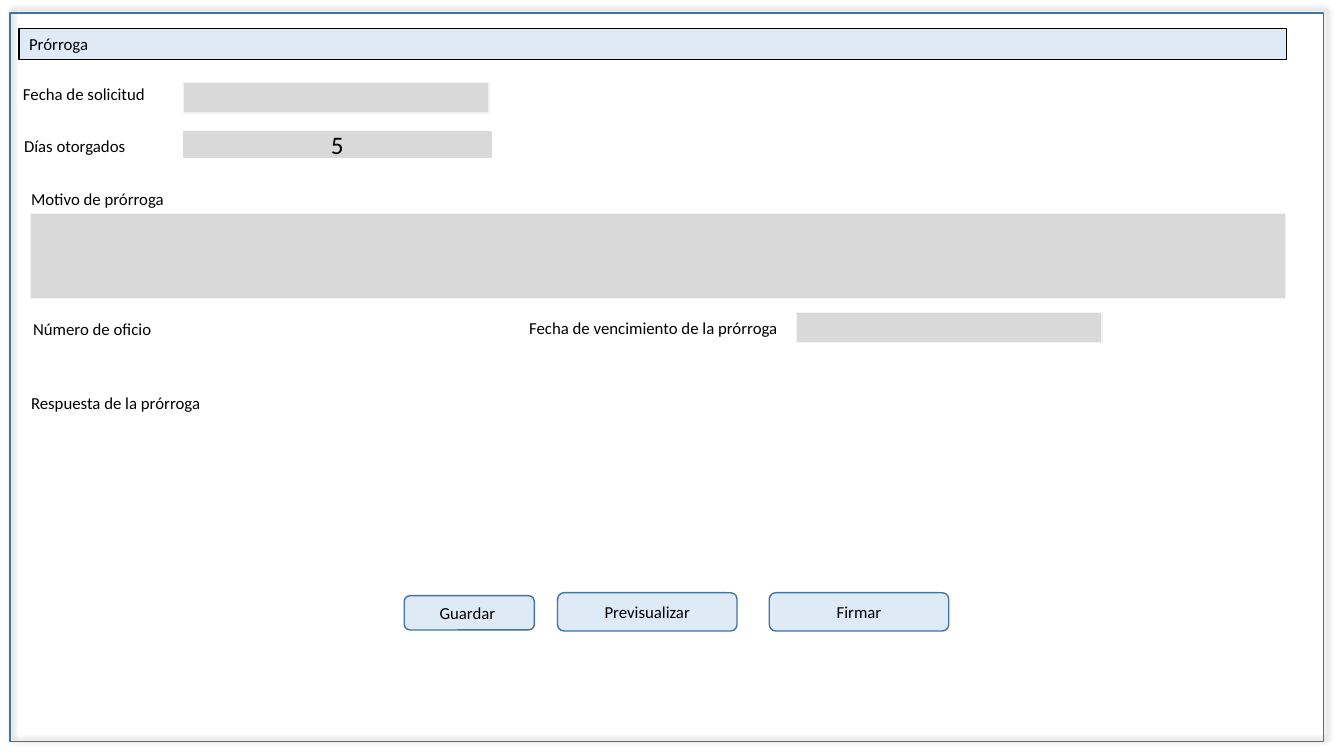
import pptx
import pptx.util
import pptx.dml.color
import pptx.enum.shapes
import pptx.enum.text
import pptx.oxml
import pptx.oxml.ns

Inches = pptx.util.Inches
SHAPES = pptx.enum.shapes.MSO_SHAPE
ALIGN = pptx.enum.text.PP_ALIGN
ANCHOR = pptx.enum.text.MSO_ANCHOR

COLORS = {
    "text": "000000",
    "border": "43739E",
    "accent": "DEEBF7",
    "field": "D9D9D9",
    "field_edge": "F2F2F2",
}


def color(name):
    """Return the palette colour with this name."""
    return pptx.dml.color.RGBColor.from_string(COLORS[name])


def write_text(holder, text, size=12, align=ALIGN.LEFT, anchor=ANCHOR.MIDDLE):
    """Write one formatted line of text into a shape or text box."""
    frame = holder.text_frame
    frame.word_wrap = True
    frame.vertical_anchor = anchor
    para = frame.paragraphs[0]
    para.alignment = align
    span = para.add_run()
    span.text = text
    span.font.size = pptx.util.Pt(size)
    span.font.name = "Calibri"
    span.font.color.rgb = color("text")


def add_block(page, box, fill=None, line="border", kind=SHAPES.RECTANGLE):
    """Add a flat outlined shape in the given box."""
    block = page.shapes.add_shape(kind, *map(Inches, box))
    block.shadow.inherit = False
    if fill:
        block.fill.solid()
        block.fill.fore_color.rgb = color(fill)
    else:
        block.fill.background()
    block.line.color.rgb = color(line)
    block.line.width = pptx.util.Pt(1)
    return block


def add_label(page, text, left, top, width=3.37):
    """Add a field caption."""
    label = page.shapes.add_textbox(*map(Inches, (left, top, width, 0.3)))
    write_text(label, text, anchor=ANCHOR.TOP)
    label.text_frame.auto_size = pptx.enum.text.MSO_AUTO_SIZE.SHAPE_TO_FIT_TEXT


def add_window(page, left, top, width, height):
    """Draw the window frame with its shadow and the heading bar."""
    frame = add_block(page, (left, top, width, height))
    effects = frame._element.spPr.find(pptx.oxml.ns.qn("a:effectLst"))
    effects.append(pptx.oxml.parse_xml(
        f'<a:outerShdw {pptx.oxml.ns.nsdecls("a")} blurRad="50800" dist="38100" '
        'dir="18900000" algn="bl" rotWithShape="0"><a:srgbClr val="000000">'
        '<a:alpha val="40000"/></a:srgbClr></a:outerShdw>'))
    heading = add_block(page, (left + 0.09, top + 0.15, width - 0.46, 0.31),
                        "accent", "text")
    write_text(heading, "Prórroga")


def add_form(page, left, top):
    """Place the captions and entry fields of the extension request."""
    add_label(page, "Fecha de solicitud", left, top)
    add_label(page, "Días otorgados", left + 0.01, top + 0.52)
    add_label(page, "Motivo de prórroga", left + 0.08, top + 1.04, 4)
    add_label(page, "Número de oficio", left + 0.1, top + 2.33)
    add_label(page, "Fecha de vencimiento de la prórroga", left + 5.02, top + 2.32)
    add_label(page, "Respuesta de la prórroga", left + 0.08, top + 3.07, 4)
    for across, down, width, height in (
            (1.69, 0.04, 3.03, 0.3),
            (0.17, 1.34, 12.45, 0.84),
            (7.77, 2.32, 3.03, 0.3)):
        add_block(page, (left + across, top + down, width, height),
                  "field", "field_edge")
    days = add_block(page, (left + 1.69, top + 0.53, 3.05, 0.25), "field", "field")
    write_text(days, "5", size=18, align=ALIGN.CENTER)


def add_buttons(page, left, top):
    """Place the row of action buttons."""
    for text, across, down, width, height in (
            ("Guardar ", 0, 0.03, 1.29, 0.34),
            ("Previsualizar", 1.52, 0, 1.78, 0.38),
            ("Firmar", 3.62, 0, 1.78, 0.38)):
        button = add_block(page, (left + across, top + down, width, height),
                           "accent", kind=SHAPES.ROUNDED_RECTANGLE)
        write_text(button, text, align=ALIGN.CENTER)


def main():
    """Build the extension request screen and save it."""
    deck = pptx.Presentation()
    deck.slide_width = Inches(13.33)
    deck.slide_height = Inches(7.5)
    page = deck.slides.add_slide(deck.slide_layouts[6])
    add_window(page, 0.1, 0.13, 13.03, 7.23)
    add_form(page, 0.13, 0.78)
    add_buttons(page, 4.01, 5.88)
    deck.save("out.pptx")


if __name__ == "__main__":
    main()
